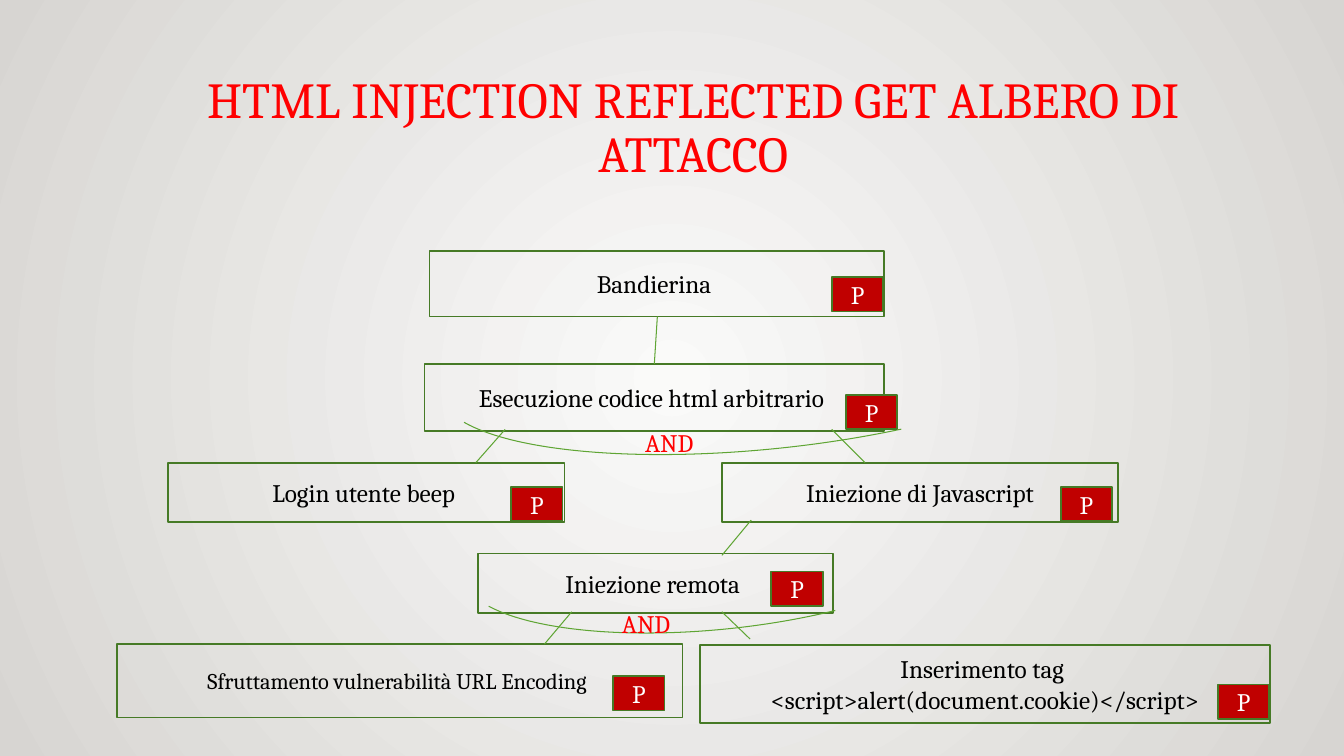
from lxml.etree import SubElement
from pptx import Presentation
from pptx.dml.color import RGBColor
from pptx.enum.shapes import MSO_CONNECTOR as CONNECTOR, MSO_SHAPE as SHAPE
from pptx.enum.text import MSO_ANCHOR as ANCHOR, PP_ALIGN as ALIGN
from pptx.oxml import parse_xml
from pptx.oxml.ns import nsdecls, qn
from pptx.util import Inches, Pt

COLORS = {
    "center": "FAFAF9", "edge": "D7D5D2", "accent": "FF0000", "border": "467A26",
    "branch": "5FA534", "badge": "C00000", "ink": "000000", "paper": "FFFFFF",
}
FONT = "Cambria"
BADGE_SIZE = (0.51, 0.34)

# Label, box, badge corner and text size of each step in the attack tree
STEPS = [
    ("Sfruttamento vulnerabilità URL Encoding ", (1.16, 6.39, 5.61, 0.73), (6.08, 6.71), 16),
    ("Inserimento tag \v<script>alert(document.cookie)</script>",
     (6.94, 6.4, 5.66, 0.77), (12.08, 6.79), 18),
    ("Iniezione remota ", (4.74, 5.49, 3.52, 0.59), (7.65, 5.67), 18),
    ("Login utente beep ", (1.67, 4.59, 3.93, 0.59), (5.07, 4.83), 18),
    ("Iniezione di Javascript", (7.16, 4.59, 3.93, 0.59), (10.52, 4.83), 18),
    ("Esecuzione codice html arbitrario ", (4.21, 3.61, 4.56, 0.67), (8.39, 3.92), 18),
    ("Bandierina ", (4.26, 2.49, 4.51, 0.65), (8.25, 2.75), 18),
]
BRANCHES = [
    (5.67, 6.07, 5.4, 6.39), (7.16, 6.07, 7.44, 6.34), (6.52, 3.14, 6.49, 3.61),
    (7.45, 5.16, 7.16, 5.51), (5.01, 4.26, 4.72, 4.59), (8.25, 4.26, 8.58, 4.59),
]
GATES = [
    ((6.36, 2.85, 1.6, 5.18), 49.24, (6.07, 5.99, 0.92, 0.4)),
    ((6.75, 0.24, 1.8, 6.62), 50.49, (6.3, 4.19, 0.92, 0.4)),
]


def rgb(name):
    """Return the named colour."""
    return RGBColor.from_string(COLORS[name])


def inches(values):
    """Convert numbers to lengths."""
    return [Inches(value) for value in values]


def paint_background(slide):
    """Give the slide a circular gradient."""
    stops = "".join(
        f'<a:gs pos="{pos}"><a:srgbClr val="{COLORS[name]}"/></a:gs>'
        for pos, name in ((0, "center"), (100000, "edge")))
    slide.element.cSld.insert(0, parse_xml(
        f'<p:bg {nsdecls("p", "a")}><p:bgPr><a:gradFill rotWithShape="1">'
        f'<a:gsLst>{stops}</a:gsLst><a:path path="circle">'
        '<a:fillToRect l="50000" t="50000" r="50000" b="50000"/></a:path>'
        '</a:gradFill><a:effectLst/></p:bgPr></p:bg>'))


def write(holder, text, size, color, align=ALIGN.CENTER, anchor=ANCHOR.MIDDLE):
    """Fill a shape with one styled paragraph and return it."""
    frame = holder.text_frame
    frame.word_wrap = True
    frame.vertical_anchor = anchor
    paragraph = frame.paragraphs[0]
    paragraph.text = text
    paragraph.alignment = align
    paragraph.font.name = FONT
    paragraph.font.size = Pt(size)
    paragraph.font.color.rgb = rgb(color)
    return paragraph


def add_outlined(slide, kind, box, color, width):
    """Add a preset shape with a coloured outline."""
    outlined = slide.shapes.add_shape(kind, *inches(box))
    outlined.shadow.inherit = False
    outlined.line.color.rgb = rgb(color)
    outlined.line.width = Pt(width)
    return outlined


def add_step(slide, label, box, size):
    """Add a step box that shows the slide background."""
    step = add_outlined(slide, SHAPE.RECTANGLE, box, "border", 1.25)
    step.element.set("useBgFill", "1")
    write(step, label, size, "ink")


def add_badge(slide, corner):
    """Add a red P marker."""
    badge = add_outlined(slide, SHAPE.RECTANGLE, corner + BADGE_SIZE, "border", 1.25)
    badge.fill.solid()
    badge.fill.fore_color.rgb = rgb("badge")
    write(badge, "P", 18, "paper")


def add_branch(slide, ends):
    """Add a straight line between two steps."""
    branch = slide.shapes.add_connector(CONNECTOR.STRAIGHT, *inches(ends))
    branch.line.color.rgb = rgb("branch")
    branch.line.width = Pt(0.75)
    SubElement(branch.element.spPr, qn("a:effectLst"))


def add_arc(slide, box, end):
    """Add the arc that joins the branches of an AND gate."""
    arc = add_outlined(slide, SHAPE.ARC, box, "branch", 0.75)
    arc.fill.background()
    arc.rotation = 84
    arc.adjustments[0] = 182.85
    arc.adjustments[1] = end


def add_label(slide, text, box, size, align, anchor):
    """Add red free-standing text and return its paragraph."""
    label = slide.shapes.add_textbox(*inches(box))
    return write(label, text, size, "accent", align, anchor)


def main():
    """Build and save the attack tree slide."""
    deck = Presentation()
    deck.slide_width, deck.slide_height = inches((13.33, 7.5))
    slide = deck.slides.add_slide(deck.slide_layouts[6])
    paint_background(slide)
    title = add_label(slide, "HTML INJECTION REFLECTED GET ALBERO DI ATTACCO",
                      (1.67, 0.72, 10.41, 1.15), 36, ALIGN.CENTER, ANCHOR.BOTTOM)
    title.line_spacing = 0.9
    for label, box, _, size in STEPS:
        add_step(slide, label, box, size)
    for ends in BRANCHES:
        add_branch(slide, ends)
    for arc_box, end, _ in GATES:
        add_arc(slide, arc_box, end)
    for _, _, label_box in GATES:
        add_label(slide, "AND", label_box, 18, ALIGN.LEFT, ANCHOR.TOP)
    for _, _, corner, _ in STEPS:
        add_badge(slide, corner)
    deck.save("out.pptx")


main()
